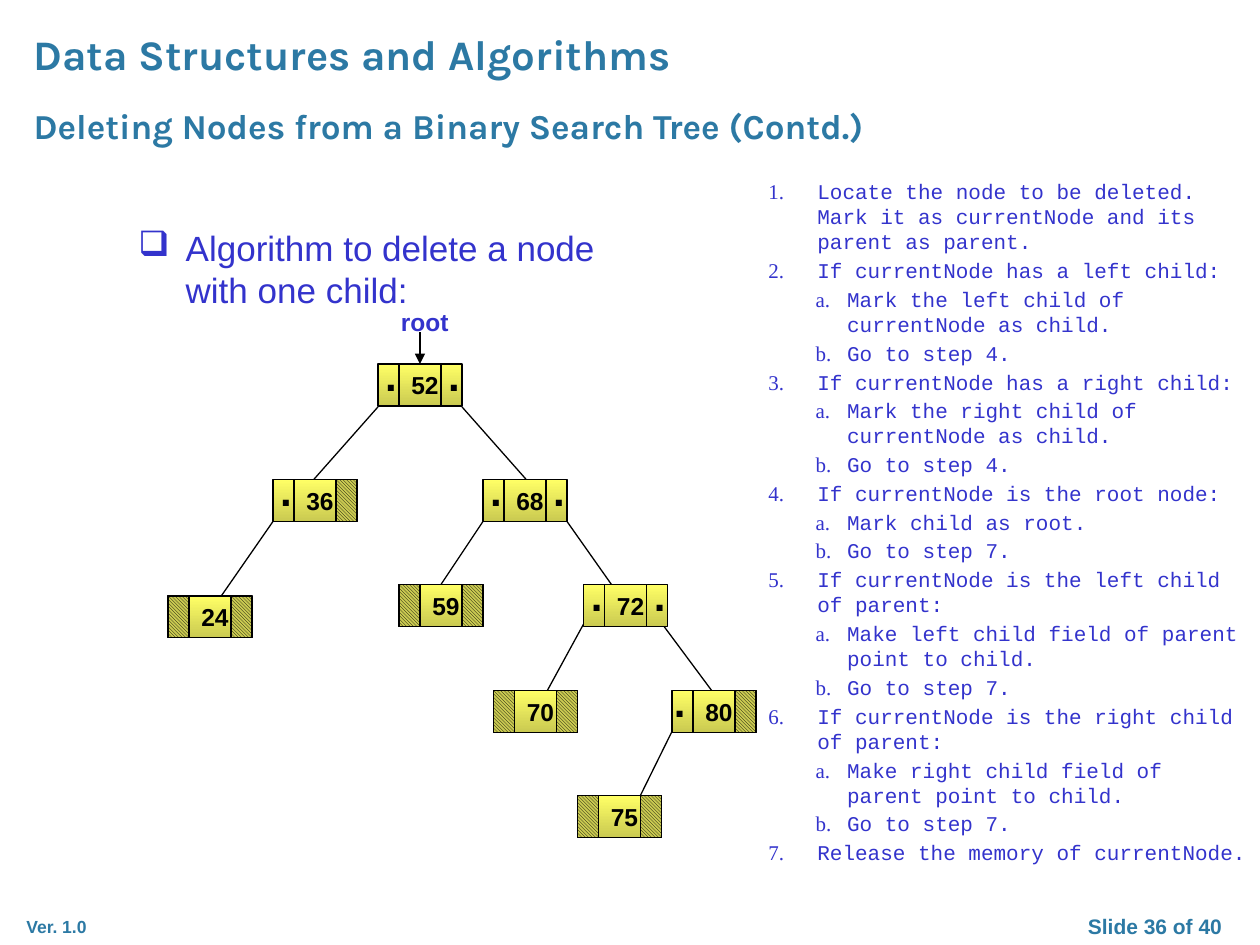
from dataclasses import dataclass

from lxml.etree import SubElement
from pptx import Presentation
from pptx.dml.color import RGBColor
from pptx.enum.dml import MSO_PATTERN as Pattern
from pptx.enum.shapes import MSO_CONNECTOR as Link, MSO_SHAPE as Kind
from pptx.enum.text import MSO_ANCHOR as Anchor, MSO_AUTO_SIZE as Auto, PP_ALIGN as Align
from pptx.oxml.ns import qn
from pptx.util import Pt

COLORS = {"teal": "2C79A4", "blue": "3333CC", "black": "000000",
          "light": "FFFF66", "dark": "CACA51"}
WIDE, HIGH, SIDE = 48, 24, 12


@dataclass
class Node:
    key: str
    x: float
    y: float
    left: bool = False
    right: bool = False
    dot: float = -3


@dataclass
class Edge:
    kid: str
    x1: float
    y1: float
    x2: float
    y2: float
    glue: bool = False


@dataclass
class Step:
    mark: str
    text: str

    @property
    def sub(self) -> bool:
        return self.mark.isalpha()


NODES = [
    Node("52", 216, 208, True, True),
    Node("36", 156, 274, True),
    Node("68", 276, 274, True, True),
    Node("24", 96, 340.5),
    Node("59", 228, 334),
    Node("72", 333.5, 334, True, True),
    Node("70", 282, 394.5),
    Node("80", 384, 394.5, True, dot=-6),
    Node("75", 330, 454.5),
]
# Most edges run on behind the child box.
EDGES = [
    Edge("36", 216, 232.5, 174, 280),
    Edge("68", 264, 232.5, 306, 280),
    Edge("24", 156, 298, 114, 358.5),
    Edge("59", 276, 298, 252, 334, True),
    Edge("72", 324, 298, 354, 340.5),
    Edge("70", 336, 352, 300, 418),
    Edge("80", 375, 352, 420, 412.5),
    Edge("75", 384, 418, 366, 454.5),
]
STEPS = [
    Step("1", "Locate the node to be deleted. Mark it as currentNode and its parent as parent."),
    Step("2", "If currentNode has a left child:"),
    Step("a", "Mark the left child of currentNode as child."),
    Step("b", "Go to step 4."),
    Step("3", "If currentNode has a right child:"),
    Step("a", "Mark the right child of currentNode as child."),
    Step("b", "Go to step 4."),
    Step("4", "If currentNode is the root node:"),
    Step("a", "Mark child as root."),
    Step("b", "Go to step 7."),
    Step("5", "If currentNode is the left child of parent:"),
    Step("a", "Make left child field of parent point to child."),
    Step("b", "Go to step 7."),
    Step("6", "If currentNode is the right child of parent:"),
    Step("a", "Make right child field of parent point to child."),
    Step("b", "Go to step 7."),
    Step("7", "Release the memory of currentNode."),
]


def color(name: str) -> RGBColor:
    return RGBColor.from_string(COLORS[name])


def style(para, size: float, hue: str, face="Arial", bold=True) -> None:
    font = para.font
    font.size, font.name, font.bold = Pt(size), face, bold
    font.color.rgb = color(hue)


def text(slide, words: str, x, y, w, h, size, hue="black", face="Arial",
         bold=True, wrap=True, box=None):
    """Write one paragraph in a new text box, or in the box given."""
    box = box or slide.shapes.add_textbox(0, 0, 0, 0)
    box.left, box.top, box.width, box.height = Pt(x), Pt(y), Pt(w), Pt(h)
    frame = box.text_frame
    frame.word_wrap, frame.auto_size = wrap, Auto.NONE
    frame.vertical_anchor = Anchor.TOP
    para = frame.paragraphs[0]
    para.text, para.alignment = words, Align.LEFT
    style(para, size, hue, face, bold)
    return para


def indent(para, left: float, hang: float) -> None:
    props = para._p.get_or_add_pPr()
    props.set("marL", str(Pt(left)))
    props.set("indent", str(-Pt(hang)))


def line(slide, x1, y1, x2, y2):
    link = slide.shapes.add_connector(Link.STRAIGHT, Pt(x1), Pt(y1), Pt(x2), Pt(y2))
    link.line.width = Pt(0.75)
    link.line.color.rgb = color("black")
    SubElement(link._element.spPr, qn("a:effectLst"))
    return link


def rect(slide, x, y, w):
    box = slide.shapes.add_shape(Kind.RECTANGLE, Pt(x), Pt(y), Pt(w), Pt(HIGH))
    box.shadow.inherit = False
    box.line.width = Pt(0.75)
    box.line.color.rgb = color("black")
    return box


def draw_node(slide, node: Node):
    box = rect(slide, node.x, node.y, WIDE)
    box.fill.gradient()
    box.fill.gradient_angle = 270
    for stop, hue in zip(box.fill.gradient_stops, ("light", "dark")):
        stop.color.rgb = color(hue)
    for used, start, rule in ((node.left, 0, SIDE), (node.right, WIDE - SIDE, WIDE - SIDE)):
        x = node.x + start
        line(slide, node.x + rule, node.y, node.x + rule, node.y + HIGH)
        if used:
            text(slide, ".", x + node.dot, node.y - 12, 21, 36, 24, wrap=False)
        else:
            fill = rect(slide, x, node.y, SIDE).fill
            fill.patterned()
            fill.pattern = Pattern.DARK_DOWNWARD_DIAGONAL
            fill.fore_color.rgb = color("black")
            fill.back_color.rgb = color("dark")
    text(slide, node.key, node.x + SIDE, node.y, 30, HIGH, 14, wrap=False)
    return box


def draw_tree(slide) -> None:
    links = [(edge, line(slide, edge.x1, edge.y1, edge.x2, edge.y2)) for edge in EDGES]
    boxes = {node.key: draw_node(slide, node) for node in NODES}
    for edge, link in links:
        if edge.glue:
            link.end_connect(boxes[edge.kid], 0)
    arrow = line(slide, 240, 190, 240, 208)
    arrow.end_connect(boxes["52"], 0)
    SubElement(arrow.line._get_or_add_ln(), qn("a:tailEnd"), type="triangle")
    text(slide, "root", 222, 172, 60, 24, 14, "blue")


def draw_steps(slide) -> None:
    para = text(slide, "", 432, 98.5, 288, 418, 12)
    frame = para._parent
    for i, step in enumerate(STEPS):
        para = frame.add_paragraph() if i else para
        style(para, 12, "blue", "Courier New", False)
        para.space_before = Pt(2)
        para.level = int(step.sub)
        indent(para, *((45, 18) if step.sub else (28, 28)))
        mark = para.add_run()
        mark.text, mark.font.name = f"{step.mark}.", "Times New Roman"
        para.add_run().text = f"\t{step.text}"


def main() -> None:
    deck = Presentation()
    deck.slide_width, deck.slide_height = Pt(720), Pt(540)
    slide = deck.slides.add_slide(deck.slide_layouts[5])
    text(slide, "Deleting Nodes from a Binary Search Tree (Contd.)", 12, 56, 540, 31,
         20, "teal", "Karla", box=slide.shapes.title)
    text(slide, "Data Structures and Algorithms", 12, 12.5, 600, 37, 24, "teal", "Karla")
    text(slide, "Ver. 1.0", 8, 520, 57, 19, 10, "teal")
    count = text(slide, "Slide 36 of 40", 600, 518.5, 120, 21.5, 12, "teal")
    count.alignment = Align.CENTER

    lead = text(slide, "Algorithm to delete a node with one child:", 72, 126, 295, 360,
                20, "blue", bold=False)
    indent(lead, 27, 27)
    bullet = SubElement(lead._p.pPr, qn("a:buChar"), char="❑")
    lead._p.pPr.find(qn("a:defRPr")).addprevious(bullet)
    draw_steps(slide)
    draw_tree(slide)
    deck.save("out.pptx")


if __name__ == "__main__":
    main()
